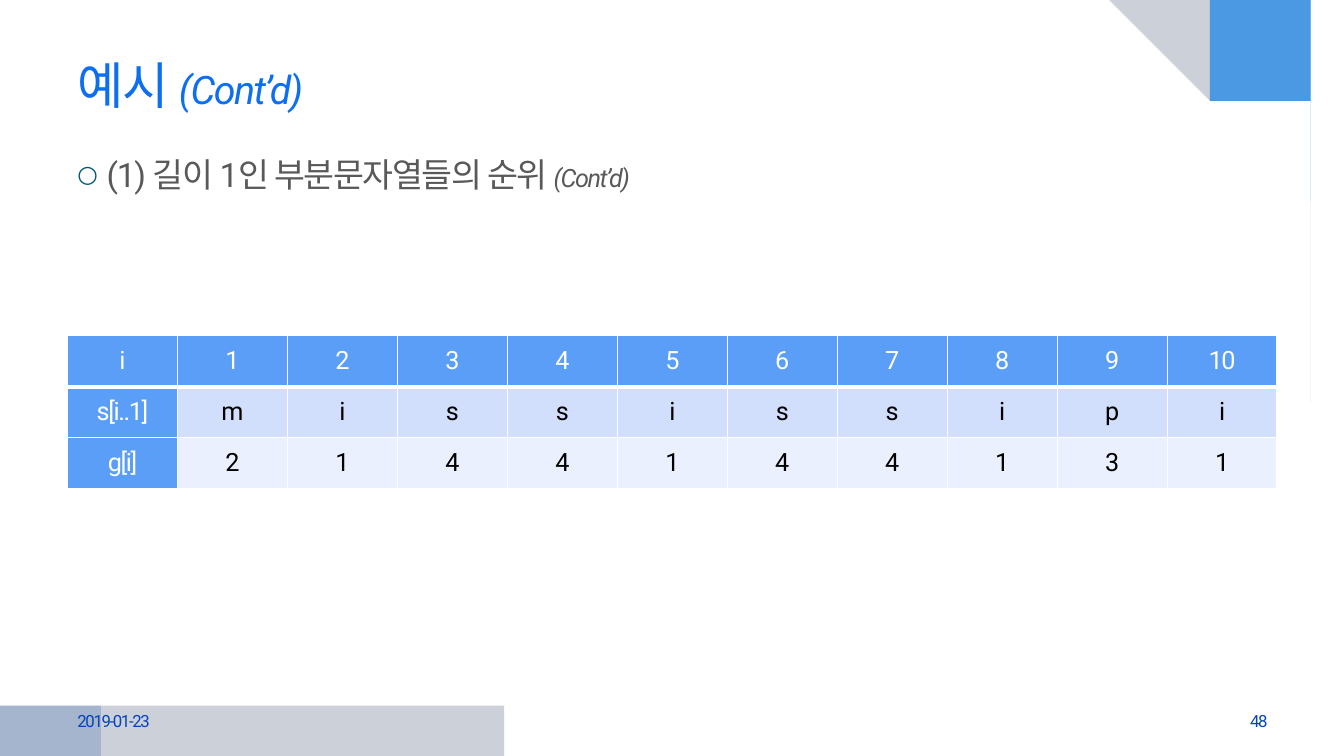
import pptx
import pptx.dml.color
import pptx.enum.text
import pptx.oxml
import pptx.oxml.ns
import pptx.util
from pptx.util import Inches

RGBColor = pptx.dml.color.RGBColor
Align = pptx.enum.text.PP_ALIGN
Anchor = pptx.enum.text.MSO_ANCHOR

FONT = "Roboto"
WHITE = RGBColor(0xFF, 0xFF, 0xFF)
BLACK = RGBColor(0x00, 0x00, 0x00)
TITLE_BLUE = RGBColor(0x0C, 0x6F, 0xF2)
BODY_GRAY = RGBColor(0x59, 0x59, 0x59)
BULLET_TEAL = RGBColor(0x00, 0x58, 0x76)
FOOTER_BLUE = RGBColor(0x07, 0x43, 0xBC)
WAVE_CYAN = RGBColor(0x00, 0xB1, 0xE9)
WAVE_NAVY = RGBColor(0x02, 0x17, 0x41)
WAVE_BLUE = RGBColor(0x24, 0x7F, 0xF4)
WAVE_ROYAL = RGBColor(0x08, 0x4A, 0xA1)
HEADER_BLUE = RGBColor(0x5B, 0x9E, 0xF7)
ROW_FILLS = [HEADER_BLUE, RGBColor(0xD2, 0xDF, 0xFC), RGBColor(0xEA, 0xF0, 0xFD)]

# Each wave: the page corner it fills, the knots of its curved edge, colour, opacity
WAVES = [
    ((13.33, 0), [(11.89, 0), (12.1, 0.14), (12.37, 0.42), (12.66, 0.87), (12.91, 1.46),
                  (13.1, 2.14), (13.23, 2.88), (13.31, 3.6), (13.33, 4.08)], WAVE_CYAN, 45),
    ((13.33, 0), [(8.89, 0), (9.9, 0.1), (10.75, 0.27), (11.45, 0.5), (12.1, 0.81),
                  (12.58, 1.15), (12.96, 1.52), (13.19, 1.84), (13.33, 2.15)], WAVE_NAVY, 20),
    ((13.33, 0), [(8.89, 0), (9.91, 0.07), (10.76, 0.19), (11.46, 0.36), (12.1, 0.59),
                  (12.58, 0.83), (12.96, 1.1), (13.23, 1.38), (13.33, 1.55)], WAVE_BLUE, 49),
    ((0, 7.5), [(0, 6.08), (0.16, 6.28), (0.46, 6.52), (0.85, 6.74), (1.39, 6.96),
                (2.11, 7.17), (2.9, 7.32), (3.86, 7.43), (5, 7.5)], WAVE_NAVY, 20),
    ((0, 7.5), [(0, 4.58), (0.05, 5.15), (0.16, 5.72), (0.31, 6.2), (0.52, 6.64),
                (0.79, 7.01), (1.07, 7.28), (1.31, 7.43), (1.48, 7.5)], WAVE_ROYAL, 20),
]

TABLE_ROWS = [
    ["i"] + [str(index) for index in range(1, 11)],
    ["s[i..1]"] + list("mississipi"),
    ["g[i]"] + list("2144144131"),
]


def smooth_curve(knots, steps=6):
    """Return points of a Catmull-Rom spline that passes through the knots."""
    padded = [knots[0], *knots, knots[-1]]
    points = [knots[0]]
    for a, b, c, d in zip(padded, padded[1:], padded[2:], padded[3:]):
        for step in range(1, steps + 1):
            t = step / steps
            points.append(tuple(
                (2 * q + (r - p) * t + (2 * p - 5 * q + 4 * r - s) * t ** 2
                 + (3 * q - p - 3 * r + s) * t ** 3) / 2
                for p, q, r, s in zip(a, b, c, d)))
    return points


def add_run(paragraph, text, *, size, color, italic=False, spacing=-1):
    run = paragraph.add_run()
    run.text = text
    run.font.name = FONT
    run.font.size = pptx.util.Pt(size)
    run.font.color.rgb = color
    run.font.bold = False
    run.font.italic = italic
    run.font._element.set("spc", str(spacing * 100))


def add_xml(parent, tag, **attributes):
    child = pptx.oxml.ns.qn(tag)
    element = parent.makeelement(child, attributes)
    parent.append(element)
    return element


class SlideBuilder:
    def __init__(self, presentation):
        self.slide = presentation.slides.add_slide(presentation.slide_layouts[5])

    def wave(self, corner, knots, color, opacity):
        points = [*smooth_curve(knots), corner]
        builder = self.slide.shapes.build_freeform(*points[0], scale=Inches(1))
        builder.add_line_segments(points[1:], close=True)
        shape = builder.convert_to_shape()
        shape.shadow.inherit = False
        shape.line.fill.background()
        shape.fill.solid()
        shape.fill.fore_color.rgb = color
        color_element = shape.element.spPr.find(".//" + pptx.oxml.ns.qn("a:srgbClr"))
        add_xml(color_element, "a:alpha", val=str(opacity * 1000))

    def format_frame(self, shape, anchor, align):
        """Prepare the text frame and return its first paragraph."""
        frame = shape.text_frame
        frame.word_wrap = True
        frame.auto_size = pptx.enum.text.MSO_AUTO_SIZE.NONE
        frame.vertical_anchor = anchor
        paragraph = frame.paragraphs[0]
        paragraph.alignment = align
        return paragraph

    def title(self, left, top, width, height):
        shape = self.slide.shapes.title
        shape.left, shape.top = Inches(left), Inches(top)
        shape.width, shape.height = Inches(width), Inches(height)
        shape.element.getparent().append(shape.element)
        return self.format_frame(shape, Anchor.MIDDLE, Align.LEFT)

    def text_box(self, left, top, width, height, anchor=Anchor.MIDDLE, align=Align.LEFT):
        shape = self.slide.shapes.add_textbox(
            Inches(left), Inches(top), Inches(width), Inches(height))
        return self.format_frame(shape, anchor, align)

    def bullet(self, paragraph, character, color, percent, indent):
        properties = paragraph._p.get_or_add_pPr()
        properties.set("marL", str(Inches(indent)))
        properties.set("indent", str(-Inches(indent)))
        add_xml(add_xml(properties, "a:buClr"), "a:srgbClr", val=str(color))
        add_xml(properties, "a:buSzPct", val=str(percent * 1000))
        add_xml(properties, "a:buFont", typeface=FONT)
        add_xml(properties, "a:buChar", char=character)

    def cell_borders(self, cell, **widths):
        properties = cell._tc.get_or_add_tcPr()
        for side in "LRTB":
            width = pptx.util.Pt(widths.get(side, 1))
            line = add_xml(properties, f"a:ln{side}", w=str(width))
            add_xml(add_xml(line, "a:solidFill"), "a:srgbClr", val=str(WHITE))

    def table(self, rows, left, top, width, height):
        table = self.slide.shapes.add_table(
            len(rows), len(rows[0]), Inches(left), Inches(top),
            Inches(width), Inches(height)).table
        table.first_col = True
        table.horz_banding = False
        for row_index, row in enumerate(rows):
            for column_index, text in enumerate(row):
                cell = table.cell(row_index, column_index)
                is_header = row_index == 0 or column_index == 0
                self.cell_borders(cell, T=3 if row_index == 1 else 1,
                                  B=3 if row_index == 0 else 1)
                cell.fill.solid()
                cell.fill.fore_color.rgb = HEADER_BLUE if is_header else ROW_FILLS[row_index]
                cell.vertical_anchor = Anchor.MIDDLE
                paragraph = cell.text_frame.paragraphs[0]
                paragraph.alignment = Align.CENTER
                add_run(paragraph, text, size=18, color=WHITE if is_header else BLACK)


def main():
    presentation = pptx.Presentation()
    presentation.slide_width = Inches(13.33)
    presentation.slide_height = Inches(7.5)
    builder = SlideBuilder(presentation)

    for wave in WAVES:
        builder.wave(*wave)

    title = builder.title(0.67, 0.33, 12, 1.01)
    add_run(title, "예시 ", size=36, color=TITLE_BLUE)
    add_run(title, "(Cont’d)", size=28, color=TITLE_BLUE, italic=True)

    body = builder.text_box(0.67, 1.48, 12, 5.22, anchor=Anchor.TOP)
    builder.bullet(body, "○", BULLET_TEAL, percent=70, indent=0.29)
    add_run(body, "(1) 길이 1인 부분문자열들의 순위 ", size=24, color=BODY_GRAY)
    add_run(body, "(Cont’d)", size=18, color=BODY_GRAY, italic=True)

    date = builder.text_box(0.67, 6.95, 3.11, 0.4)
    add_run(date, "2019-01-23", size=12, color=FOOTER_BLUE)
    page_number = builder.text_box(9.56, 6.95, 3.11, 0.4, align=Align.RIGHT)
    add_run(page_number, "48", size=12, color=FOOTER_BLUE)

    builder.table(TABLE_ROWS, 0.67, 3.33, 12, 1.52)
    presentation.save("out.pptx")


if __name__ == "__main__":
    main()
